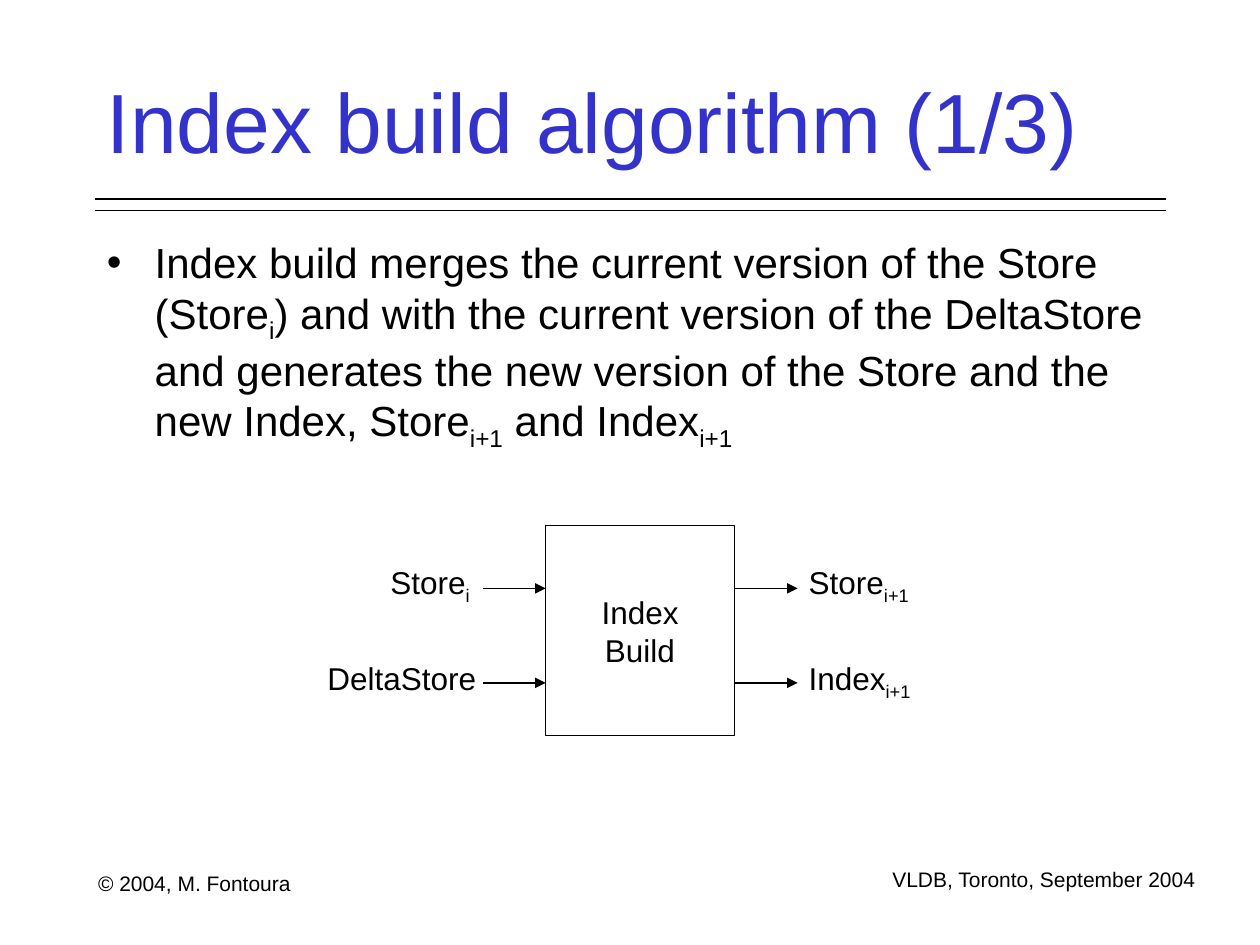
from lxml import etree
from pptx import Presentation
from pptx.dml.color import RGBColor
from pptx.enum.shapes import MSO_CONNECTOR as Conn, MSO_SHAPE as Shape
from pptx.enum.text import MSO_ANCHOR as Anchor, PP_ALIGN as Align
from pptx.oxml.ns import qn
from pptx.util import Inches, Pt

COLORS = {"ink": "000000", "title": "3333CC", "paper": "FFFFFF"}

deck = Presentation()
deck.slide_width, deck.slide_height = Inches(10), Inches(7.5)
slide = deck.slides.add_slide(deck.slide_layouts[6])


def write(box, lines, size, color="ink", align=Align.LEFT, anchor=Anchor.TOP, wrap=False):
    """Fill a box; each line is a list of parts, every second one a subscript."""
    frame = box.text_frame
    frame.word_wrap = wrap
    frame.vertical_anchor = anchor
    for i, parts in enumerate(lines):
        para = frame.add_paragraph() if i else frame.paragraphs[0]
        para.alignment = align
        para.font.size = Pt(size)
        para.font.name = "Arial"
        para.font.color.rgb = RGBColor.from_string(COLORS[color])
        for j, part in enumerate(parts):
            run = para.add_run()
            run.text = part
            if j % 2:
                run.font._element.set("baseline", "-25000")
    return frame


def rule(x1, x2, y, arrow=False):
    """Draw a thin level line, with an arrowhead at its right end if asked."""
    line = slide.shapes.add_connector(Conn.STRAIGHT, Inches(x1), Inches(y), Inches(x2), Inches(y))
    line.line.color.rgb = RGBColor.from_string(COLORS["ink"])
    line.line.width = Pt(0.75)
    if arrow:
        etree.SubElement(line.line._get_or_add_ln(), qn("a:tailEnd"), type="triangle")
    etree.SubElement(line._element.spPr, qn("a:effectLst"))


# Double rule under the title
for y in (1.58, 1.67):
    rule(0.75, 9.25, y)

# Footers
for x, y, w, text, align in [
    (0.68, 6.86, 1.73, "© 2004, M. Fontoura", Align.LEFT),
    (6.97, 6.83, 2.63, "VLDB, Toronto, September 2004", Align.CENTER),
]:
    foot = slide.shapes.add_textbox(Inches(x), Inches(y), Inches(w), Inches(0.3))
    write(foot, [[text]], 12, align=align, anchor=Anchor.MIDDLE)

# Title
title = slide.shapes.add_textbox(Inches(0.75), Inches(0.33), Inches(8.5), Inches(1.25))
write(title, [["Index build algorithm (1/3)"]], 48, "title", anchor=Anchor.MIDDLE, wrap=True)

# Bulleted body
body = slide.shapes.add_textbox(Inches(0.75), Inches(1.83), Inches(8.5), Inches(1.83))
parts = [
    "Index build merges the current version of the Store (Store", "i",
    ") and with the current version of the DeltaStore and generates "
    "the new version of the Store and the new Index, Store", "i+1",
    " and Index", "i+1",
]
para = write(body, [parts], 24, wrap=True).paragraphs[0]
para.space_before = Pt(6)
props = para._p.get_or_add_pPr()
props.set("marL", str(Inches(0.38)))
props.set("indent", str(Inches(-0.38)))
last = props.find(qn("a:defRPr"))
last.addprevious(etree.Element(qn("a:buFont"), typeface="Arial"))
last.addprevious(etree.Element(qn("a:buChar"), char="•"))

# Index Build box
build = slide.shapes.add_shape(Shape.RECTANGLE, Inches(4.33), Inches(4.17), Inches(1.5), Inches(1.67))
build.shadow.inherit = False
build.fill.solid()
build.fill.fore_color.rgb = RGBColor.from_string(COLORS["paper"])
build.line.color.rgb = RGBColor.from_string(COLORS["ink"])
build.line.width = Pt(0.75)
write(build, [["Index"], ["Build"]], 18, align=Align.CENTER, anchor=Anchor.MIDDLE)

# Arrows into and out of the box
for x in (3.83, 5.83):
    for y in (4.67, 5.42):
        rule(x, x + 0.5, y, arrow=True)

# Input and output labels
for x, y, w, h, parts in [
    (3, 4.42, 0.85, 0.44, ["Store", "i"]),
    (2.5, 5.18, 1.4, 0.4, ["DeltaStore"]),
    (6.32, 4.42, 1.1, 0.44, ["Store", "i+1"]),
    (6.32, 5.18, 1.1, 0.44, ["Index", "i+1"]),
]:
    label = slide.shapes.add_textbox(Inches(x), Inches(y), Inches(w), Inches(h))
    write(label, [parts], 18)

deck.save("out.pptx")
